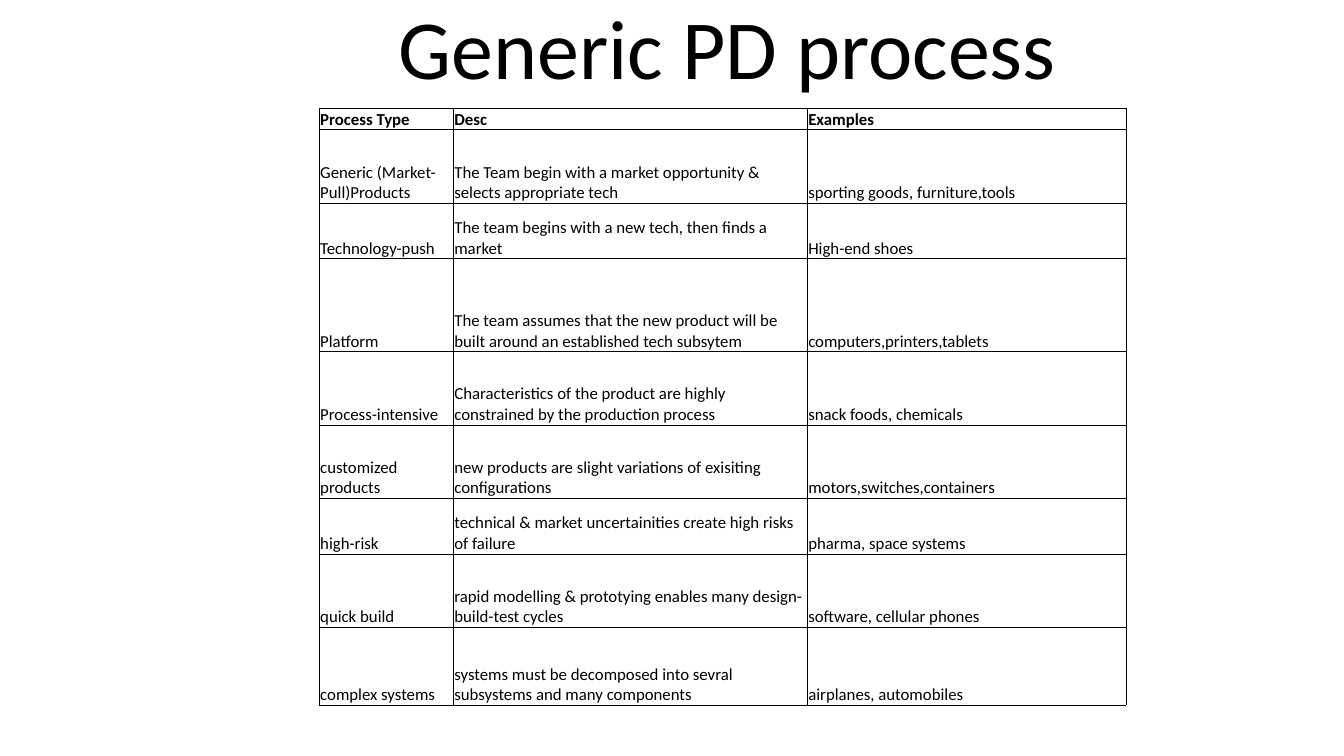
"""Build a slide with a table of generic product development processes."""
from dataclasses import dataclass

from lxml.etree import SubElement as Sub
from pptx import Presentation
from pptx.dml.color import RGBColor as Rgb
from pptx.enum.text import MSO_ANCHOR as Anchor, PP_ALIGN as Align
from pptx.oxml.ns import qn
from pptx.util import Cm, Pt


@dataclass(frozen=True)
class Theme:
    font: str = "Calibri"
    ink: str = "000000"
    title: int = 60
    body: int = 12
    rule: float = 0.5


theme = Theme()


def style(para, size, bold=False):
    font = para.runs[0].font
    font.name, font.size, font.bold = theme.font, Pt(size), bold
    font.color.rgb = Rgb.from_string(theme.ink)


def border(cell):
    props = cell._tc.get_or_add_tcPr()
    for side in ("lnL", "lnR", "lnT", "lnB"):
        line = Sub(props, qn(f"a:{side}"), w=str(Pt(theme.rule)))
        fill = Sub(line, qn("a:solidFill"))
        Sub(fill, qn("a:srgbClr"), val=theme.ink)


rows = [
    (0.46, "Process Type", "Desc", "Examples"),
    (1.85, "Generic (Market-Pull)Products",
     "The Team begin with a market opportunity & selects appropriate tech",
     "sporting goods, furniture,tools"),
    (1.4, "Technology-push",
     "The team begins with a new tech, then finds a market",
     "High-end shoes"),
    (2.34, "Platform",
     "The team assumes that the new product will be built around an established tech subsytem",
     "computers,printers,tablets"),
    (1.85, "Process-intensive",
     "Characteristics of the product are highly constrained by the production process",
     "snack foods, chemicals"),
    (1.85, "customized products",
     "new products are slight variations of exisiting configurations",
     "motors,switches,containers"),
    (1.4, "high-risk",
     "technical & market uncertainities create high risks of failure",
     "pharma, space systems"),
    (1.85, "quick build",
     "rapid modelling & prototying enables many design-build-test cycles",
     "software, cellular phones"),
    (1.96, "complex systems",
     "systems must be decomposed into sevral subsystems and many components",
     "airplanes, automobiles"),
]
widths = (3.38, 8.92, 8.03)
left = Cm(8.05)

deck = Presentation()
deck.slide_width, deck.slide_height = Cm(33.87), Cm(19.05)
slide = deck.slides.add_slide(deck.slide_layouts[6])

title = slide.shapes.add_textbox(left, 0, Cm(20.57), Cm(2.59)).text_frame
title.word_wrap = True
title.vertical_anchor = Anchor.BOTTOM
title.text = "Generic PD process"
head = title.paragraphs[0]
head.alignment = Align.CENTER
head.line_spacing = 0.9
style(head, theme.title)

high = sum(row[0] for row in rows)
frame = slide.shapes.add_table(
    len(rows), len(widths), left, Cm(2.74), Cm(sum(widths)), Cm(high))
table = frame.table
table.first_row = table.horz_banding = False
for col, width in zip(table.columns, widths):
    col.width = Cm(width)

for i, (height, *texts) in enumerate(rows):
    table.rows[i].height = Cm(height)
    for j, text in enumerate(texts):
        cell = table.cell(i, j)
        cell.text_frame.text = text
        style(cell.text_frame.paragraphs[0], theme.body, bold=i == 0)
        cell.vertical_anchor = Anchor.BOTTOM
        cell.margin_left = cell.margin_right = cell.margin_top = Cm(0.02)
        cell.margin_bottom = 0
        border(cell)
        cell.fill.background()

deck.save("out.pptx")
